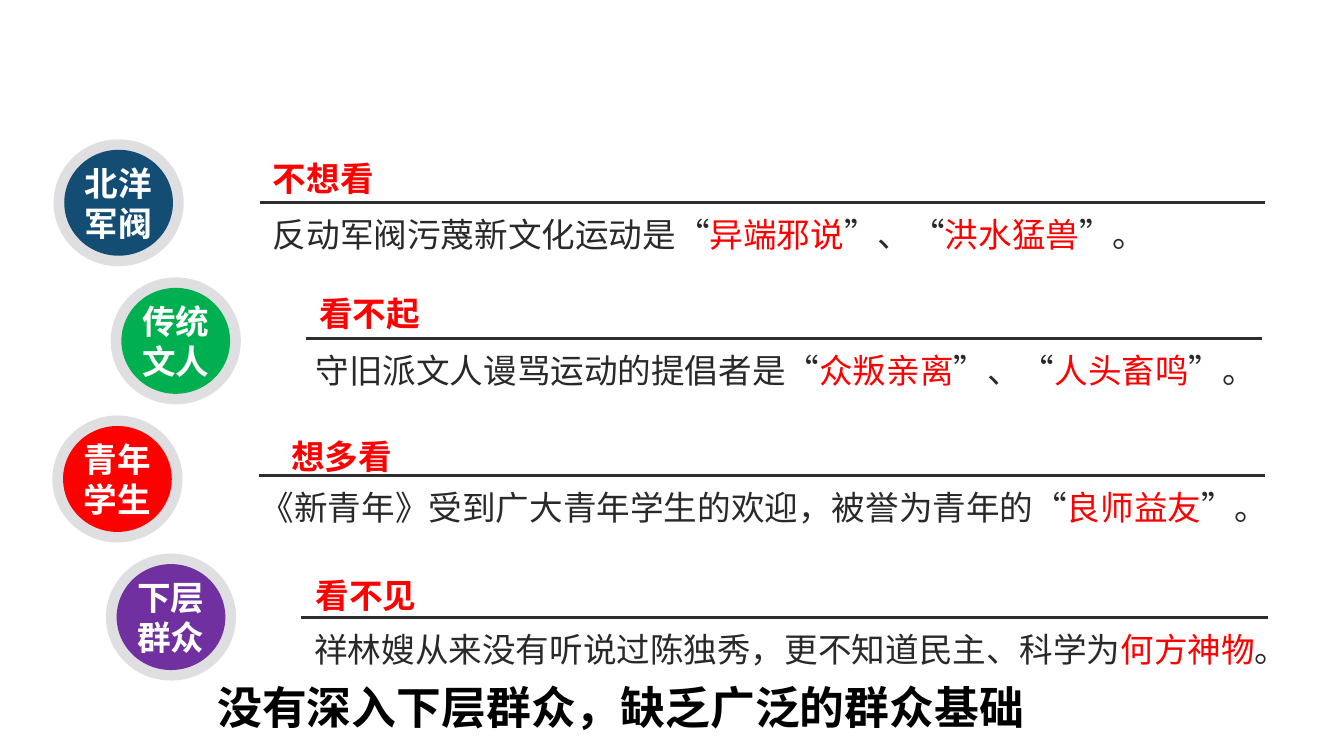
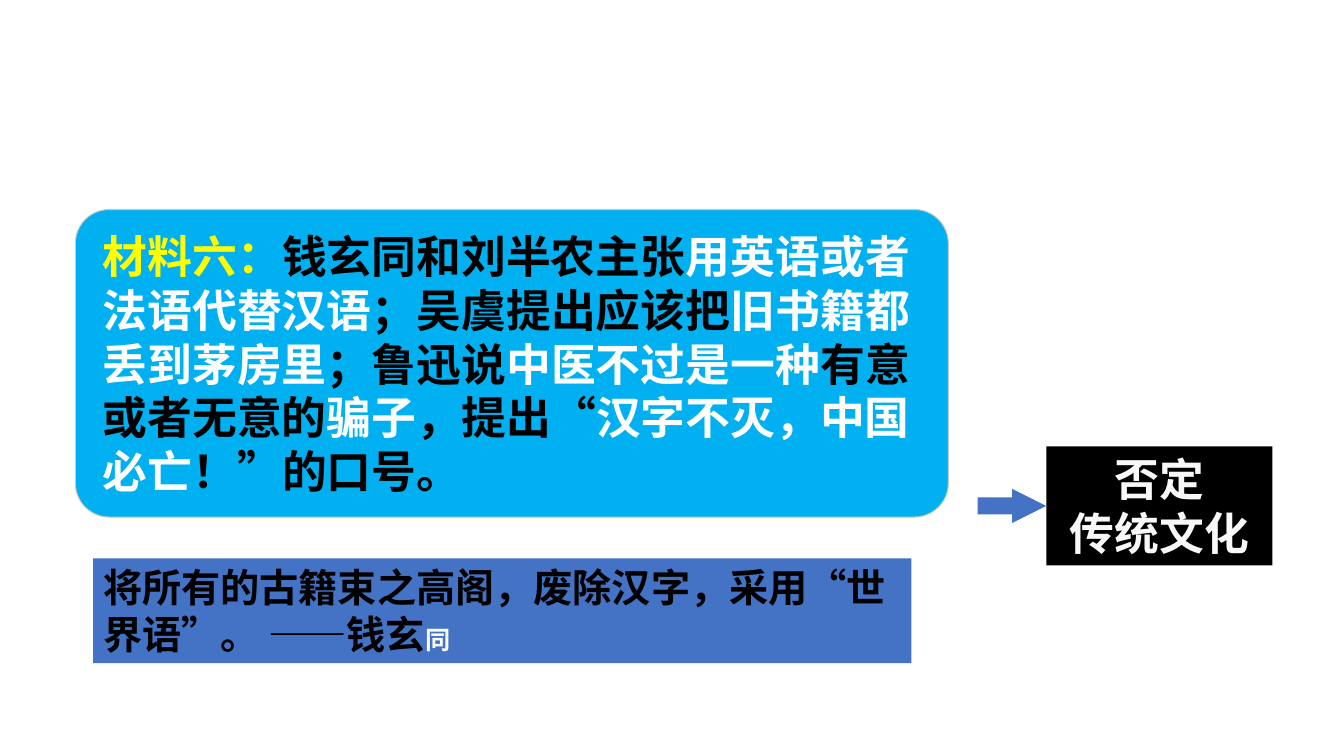
from dataclasses import dataclass
from itertools import cycle

from lxml.etree import SubElement
from pptx import Presentation
from pptx.dml.color import RGBColor
from pptx.enum.lang import MSO_LANGUAGE_ID
from pptx.enum.shapes import MSO_CONNECTOR, MSO_SHAPE
from pptx.enum.text import MSO_ANCHOR, PP_ALIGN
from pptx.oxml.ns import qn
from pptx.util import Cm, Pt


@dataclass(frozen=True)
class Theme:
    font: str = "Noto Sans CJK SC"
    latin: str = "Arial"
    black: str = "000000"
    white: str = "FFFFFF"
    soft_white: str = "F8F8F8"
    ink: str = "292929"
    rule: str = "2E2C2C"
    ring: str = "DFDFE1"
    red: str = "FF0000"
    navy: str = "144D73"
    green: str = "00B050"
    purple: str = "7030A0"
    sky: str = "00B0F0"
    blue: str = "4472C4"
    yellow: str = "FFFF00"
    edge: str = "C9C9C9"
    small: int = 18
    body: int = 24
    quote: int = 28
    large: int = 32


THEME = Theme()
WIDTH, HEIGHT = 33.87, 19.05
INSETS = (0.25, 0.13, 0.25, 0.13)


def alternate(parts, *colours):
    """Pair each part of a sentence with the next colour in turn."""
    return list(zip(parts, cycle(colours)))


def write(frame, *paragraphs, size=THEME.body, bold=False, font=THEME.font,
          align=PP_ALIGN.LEFT, anchor=MSO_ANCHOR.TOP, insets=INSETS):
    """Fill a frame; each paragraph lists (text, colour[, size]) runs."""
    frame.word_wrap = True
    frame.vertical_anchor = anchor
    (frame.margin_left, frame.margin_top,
     frame.margin_right, frame.margin_bottom) = map(Cm, insets)
    for index, parts in enumerate(paragraphs):
        paragraph = frame.add_paragraph() if index else frame.paragraphs[0]
        paragraph.alignment = align
        for text, colour, *own_size in parts:
            run = paragraph.add_run()
            run.text = text
            run.font.size = Pt(own_size[0] if own_size else size)
            run.font.bold = bold
            run.font.color.rgb = RGBColor.from_string(colour)
            run.font.language_id = MSO_LANGUAGE_ID.SIMPLIFIED_CHINESE
            run.font.name = font
            east_asian = SubElement(run.font._element, qn("a:ea"))
            east_asian.set("typeface", THEME.font)


class Deck:
    def __init__(self, theme):
        self.theme = theme
        self.deck = Presentation()
        self.deck.slide_width, self.deck.slide_height = Cm(WIDTH), Cm(HEIGHT)
        self.slide = None

    def new_slide(self):
        self.slide = self.deck.slides.add_slide(self.deck.slide_layouts[6])

    def text(self, box, *paragraphs, **style):
        label = self.slide.shapes.add_textbox(*map(Cm, box))
        write(label.text_frame, *paragraphs, **style)

    def shape(self, kind, box, fill, edge=None, adjustments=()):
        form = self.slide.shapes.add_shape(kind, *map(Cm, box))
        form.shadow.inherit = False
        form.fill.solid()
        form.fill.fore_color.rgb = RGBColor.from_string(fill)
        if edge:
            form.line.color.rgb = RGBColor.from_string(edge)
            form.line.width = Pt(0)
        else:
            form.line.fill.background()
        for index, value in enumerate(adjustments):
            form.adjustments[index] = value
        return form

    def rule(self, start, end, y):
        line = self.slide.shapes.add_connector(
            MSO_CONNECTOR.STRAIGHT, Cm(start), Cm(y), Cm(end), Cm(y))
        line.line.color.rgb = RGBColor.from_string(self.theme.rule)
        line.line.width = Pt(0)
        SubElement(line._element.spPr, qn("a:effectLst"))

    def badge(self, left, top, label, colour):
        """A coloured disc centred in a grey ring."""
        ring_w, ring_h, disc_w, disc_h = 3.28, 3.2, 2.74, 2.67
        self.shape(MSO_SHAPE.OVAL, (left, top, ring_w, ring_h), self.theme.ring)
        disc = self.shape(
            MSO_SHAPE.OVAL,
            (left + (ring_w - disc_w) / 2, top + (ring_h - disc_h) / 2,
             disc_w, disc_h), colour)
        write(disc.text_frame, [(label, self.theme.white)], bold=True,
              align=PP_ALIGN.CENTER, anchor=MSO_ANCHOR.MIDDLE, insets=(0,) * 4)

    def save(self):
        self.deck.save("out.pptx")


@dataclass
class Group:
    name: str
    colour: str
    badge_left: float
    rule: tuple  # start, end, y
    attitude: str
    attitude_at: tuple
    account: list
    account_left: float


GROUPS = [
    Group("北洋军阀", THEME.navy, 1.35, (6.55, 31.88, 5.11),
          "不想看", (6.63, 3.84),
          ["反动军阀污蔑新文化运动是“", "异端邪说", "”、“", "洪水猛兽", "”。"], 6.63),
    Group("传统文人", THEME.green, 2.79, (7.7, 31.8, 8.53),
          "看不起", (7.8, 7.24),
          ["守旧派文人谩骂运动的提倡者是“", "众叛亲离", "”、“", "人头畜鸣", "”。"], 7.7),
    Group("青年学生", THEME.red, 1.32, (6.53, 31.88, 11.99),
          "想多看", (7.09, 10.85),
          ["《新青年》受到广大青年学生的欢迎，被誉为青年的“", "良师益友", "”。"], 6.32),
    Group("下层群众", THEME.purple, 2.67, (7.59, 31.95, 15.57),
          "看不见", (7.7, 14.35),
          ["祥林嫂从来没有听说过陈独秀，更不知道民主、科学为", "何方神物", "。"], 7.67),
]


def build_attitudes(deck):
    theme = deck.theme
    deck.new_slide()
    first_badge, pitch, line_height = 3.51, 3.48, 1.28
    for index, group in enumerate(GROUPS):
        deck.badge(group.badge_left, first_badge + index * pitch,
                   group.name, group.colour)
        deck.rule(*group.rule)
        deck.text((*group.attitude_at, 16.3, line_height),
                  [(group.attitude, theme.red)], bold=True)
        deck.text((group.account_left, group.rule[2] + 0.15,
                   WIDTH - group.account_left, line_height),
                  alternate(group.account, theme.ink, theme.red))
    # Conclusion
    deck.text((4.4, 17, 22.5, 1.62),
              [("没有深入下层群众，缺乏广泛的群众基础", theme.black)],
              size=theme.large, bold=True, align=PP_ALIGN.CENTER)


def build_rejection(deck):
    theme = deck.theme
    deck.new_slide()
    # Source material
    material = deck.shape(MSO_SHAPE.ROUNDED_RECTANGLE, (1.9, 5.28, 22, 7.75),
                          theme.sky, theme.edge, [0.11])
    claims = ["钱玄同和刘半农主张", "用英语或者法语代替汉语", "；吴虞提出应该把",
              "旧书籍都丢到茅房里", "；鲁迅说", "中医不过是一种", "有意或者无意的",
              "骗子", "，提出“", "汉字不灭，中国必亡", "！”的口号。"]
    write(material.text_frame,
          [("材料六：", theme.yellow), *alternate(claims, theme.black, theme.white)],
          size=theme.large, bold=True, font=theme.latin,
          anchor=MSO_ANCHOR.MIDDLE, insets=(0.44, 0, 0.54, 0))
    # Quotation
    quotation = deck.shape(MSO_SHAPE.RECTANGLE, (2.35, 14.07, 20.62, 2.64), theme.blue)
    write(quotation.text_frame,
          [("将所有的古籍束之高阁，废除汉字，采用“世界语”。 ——钱玄", theme.black),
           ("同", theme.white, theme.small)],
          size=theme.quote, bold=True, anchor=MSO_ANCHOR.MIDDLE)
    # Verdict
    deck.shape(MSO_SHAPE.RIGHT_ARROW, (24.64, 12.32, 1.73, 0.86), theme.blue,
               adjustments=[0.5, 1])
    verdict = deck.shape(MSO_SHAPE.RECTANGLE, (26.37, 11.25, 5.7, 3), theme.black)
    write(verdict.text_frame, [("否定", theme.soft_white)],
          [("传统文化", theme.soft_white)], size=theme.large, bold=True,
          align=PP_ALIGN.CENTER, anchor=MSO_ANCHOR.MIDDLE)


def main():
    deck = Deck(THEME)
    build_attitudes(deck)
    build_rejection(deck)
    deck.save()


if __name__ == "__main__":
    main()
